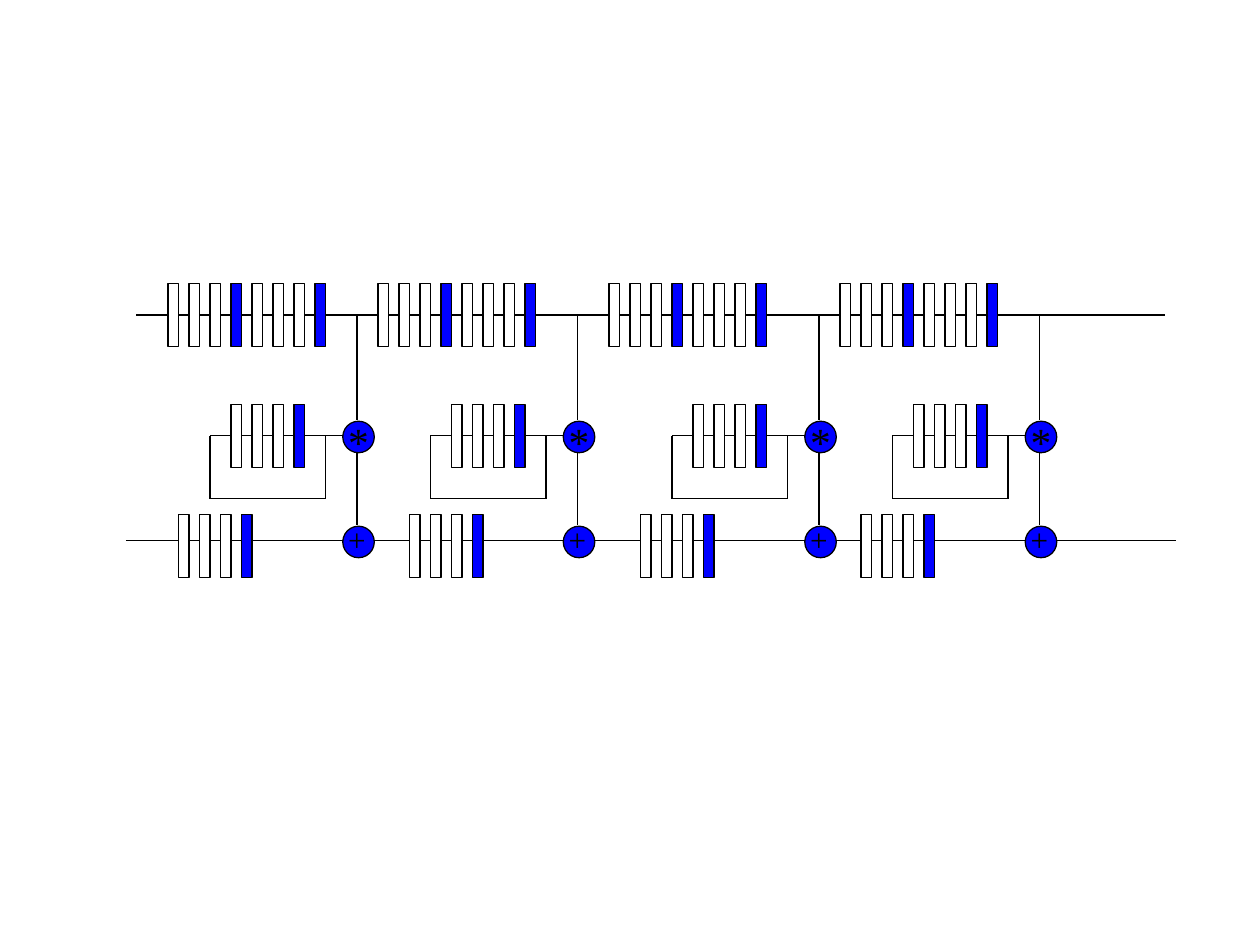
import pptx
import pptx.dml.color
import pptx.enum.shapes
import pptx.enum.text
import pptx.oxml
import pptx.util
from pptx.util import Inches

BLACK = pptx.dml.color.RGBColor(0x00, 0x00, 0x00)
WHITE = pptx.dml.color.RGBColor(0xFF, 0xFF, 0xFF)
BLUE = pptx.dml.color.RGBColor(0x00, 0x00, 0xFF)
SHAPES = pptx.enum.shapes.MSO_SHAPE
FONT = "Times New Roman"

SLIDE_COLUMNS, SLIDE_ROWS = 120, 90
SLIDE_WIDTH = 730 / 72
UNIT = SLIDE_WIDTH / SLIDE_COLUMNS

BAR_WIDTH, BAR_HEIGHT, BAR_PITCH = 1, 6, 2
CIRCLE_SIZE = 3
INPUT_TOP, LOOP_TOP, SUM_TOP = 27, 38.5, 49
INPUT_LINE, LOOP_LINE, SUM_LINE = 30, 41.5, 51.5
LOOP_BOTTOM = 47.5

STAGES = [34, 55, 78, 99]
INPUT_BARS = [16, 36, 58, 80]
SUM_BARS = [17, 39, 61, 82]
INPUT_SEGMENTS = [(13, 41), (23, 51), (44, 72), (67, 95), (88, 111)]
SUM_SEGMENTS = [(12, 51), (44, 72), (67, 95), (88, 112)]


def grid(*values):
    """Turn grid units into lengths."""
    return [Inches(value * UNIT) for value in values]


def add_line(slide, start, end):
    """Draw a thin black line between two grid points."""
    line = slide.shapes.add_connector(
        pptx.enum.shapes.MSO_CONNECTOR.STRAIGHT, *grid(*start, *end))
    line.line.color.rgb = BLACK
    line.line.width = pptx.util.Pt(0.75)
    line._element.spPr.append(pptx.oxml.parse_xml(
        '<a:effectLst xmlns:a="http://schemas.openxmlformats.org/drawingml/2006/main"/>'))
    return line


def add_outlined(slide, kind, left, top, width, height, fill):
    """Draw a filled shape with a thin black outline."""
    shape = slide.shapes.add_shape(kind, *grid(left, top, width, height))
    shape.shadow.inherit = False
    shape.fill.solid()
    shape.fill.fore_color.rgb = fill
    shape.line.color.rgb = BLACK
    shape.line.width = pptx.util.Pt(0.75)
    return shape


def add_bar(slide, left, top, fill):
    """Draw one bar of a delay line."""
    return add_outlined(slide, SHAPES.RECTANGLE, left, top, BAR_WIDTH, BAR_HEIGHT, fill)


def add_delay(slide, left, top, groups):
    """Draw groups of three white bars, each closed by a blue one."""
    for index in range(4 * groups):
        fill = BLUE if index % 4 == 3 else WHITE
        add_bar(slide, left + index * BAR_PITCH, top, fill)


def add_operator(slide, axis, top, symbol, size, text_height):
    """Draw a circle on the axis with its operator symbol."""
    add_outlined(slide, SHAPES.OVAL, axis - 1.35, top + 1.12, CIRCLE_SIZE, CIRCLE_SIZE, BLUE)
    label = slide.shapes.add_textbox(*grid(axis - 2, top, 8), Inches(text_height))
    label.text_frame.word_wrap = True
    label.text_frame.auto_size = pptx.enum.text.MSO_AUTO_SIZE.SHAPE_TO_FIT_TEXT
    label.text_frame.text = symbol
    font = label.text_frame.paragraphs[0].runs[0].font
    font.name = FONT
    font.size = pptx.util.Pt(size)
    font.color.rgb = BLACK


def add_loop(slide, axis):
    """Draw the feedback loop to the left of the axis."""
    left, right, first_bar = axis - 14, axis - 3, axis - 12
    blue_left = first_bar + 3 * BAR_PITCH
    blue_bar = add_bar(slide, blue_left, LOOP_TOP, BLUE)
    output = add_line(slide, (blue_left + BAR_WIDTH, LOOP_LINE), (axis - 1, LOOP_LINE))
    output.begin_connect(blue_bar, 3)
    feedback = add_line(slide, (blue_left, LOOP_LINE), (left, LOOP_LINE))
    feedback.begin_connect(blue_bar, 1)
    corners = [(left, LOOP_LINE), (left, LOOP_BOTTOM),
               (right, LOOP_BOTTOM), (right, LOOP_LINE)]
    for start, end in zip(corners, corners[1:]):
        add_line(slide, start, end)
    for index in range(3):
        add_bar(slide, first_bar + index * BAR_PITCH, LOOP_TOP, WHITE)


def add_stage(slide, axis):
    """Draw one multiply and add stage on its vertical axis."""
    add_line(slide, (axis, INPUT_LINE), (axis, 40))
    add_line(slide, (axis, 43), (axis, 50))
    add_loop(slide, axis)
    add_operator(slide, axis, 39, "*", 24, 0.5)
    add_operator(slide, axis, 49, "+", 18, 0.4)


def add_rail(slide, segments, row):
    """Draw the overlapping segments of a horizontal signal line."""
    for start, end in segments:
        add_line(slide, (start, row), (end, row))


def main():
    """Build the slide and save it."""
    presentation = pptx.Presentation()
    presentation.slide_width, presentation.slide_height = grid(SLIDE_COLUMNS, SLIDE_ROWS)
    slide = presentation.slides.add_slide(presentation.slide_layouts[6])
    add_rail(slide, INPUT_SEGMENTS, INPUT_LINE)
    add_rail(slide, SUM_SEGMENTS, SUM_LINE)
    for axis, input_left, sum_left in zip(STAGES, INPUT_BARS, SUM_BARS):
        add_stage(slide, axis)
        add_delay(slide, input_left, INPUT_TOP, 2)
        add_delay(slide, sum_left, SUM_TOP, 1)
    presentation.save("out.pptx")


if __name__ == "__main__":
    main()
